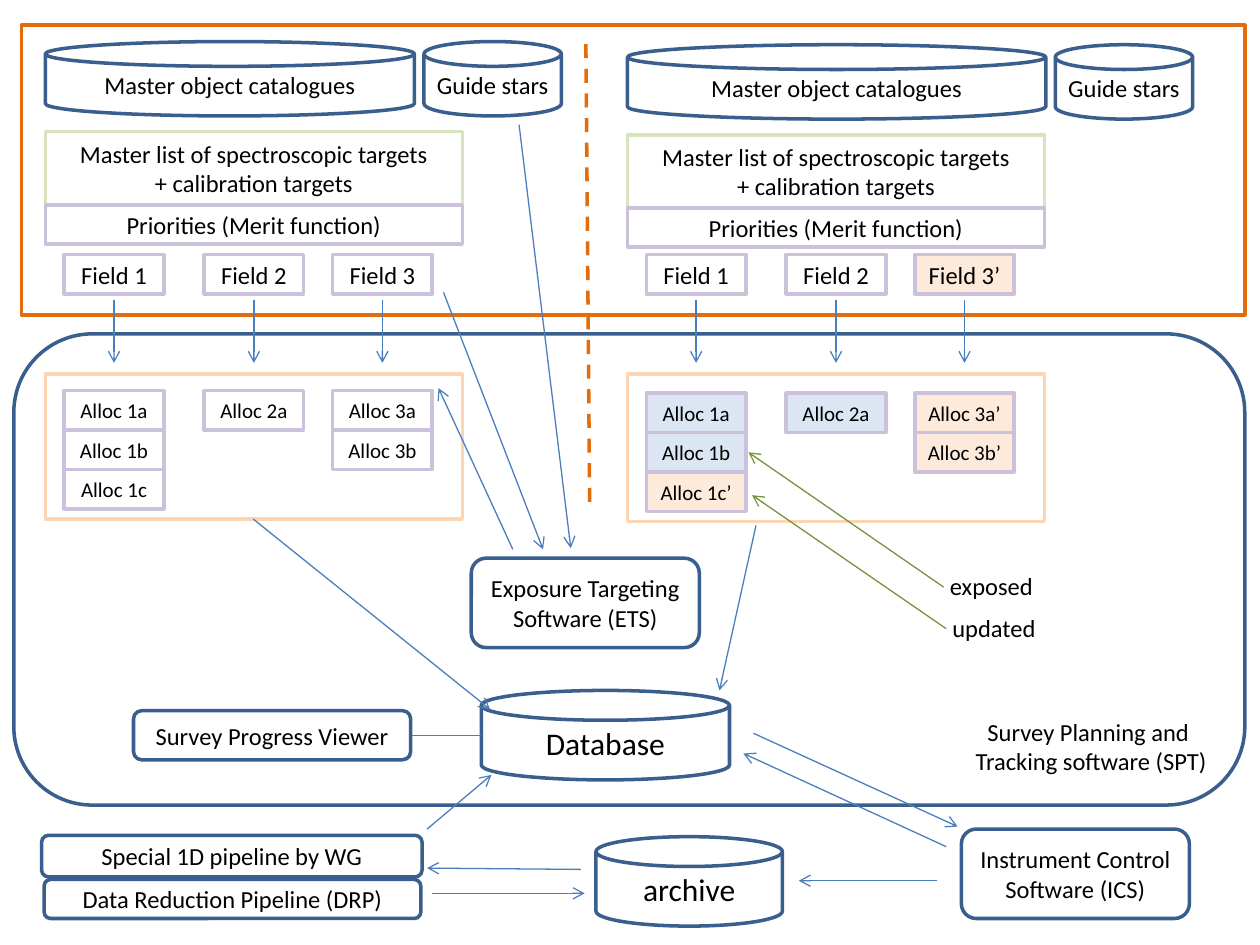
from lxml import etree
from pptx import Presentation
from pptx.dml.color import RGBColor
from pptx.enum.dml import MSO_LINE
from pptx.enum.shapes import MSO_CONNECTOR, MSO_SHAPE
from pptx.enum.text import MSO_ANCHOR, MSO_AUTO_SIZE, PP_ALIGN
from pptx.oxml.ns import qn
from pptx.util import Inches, Pt

RECT, ROUND = MSO_SHAPE.RECTANGLE, MSO_SHAPE.ROUNDED_RECTANGLE
DISK = MSO_SHAPE.FLOWCHART_MAGNETIC_DISK
STRAIGHT, DASH = MSO_CONNECTOR.STRAIGHT, MSO_LINE.DASH
MIDDLE, CENTER, LEFT = MSO_ANCHOR.MIDDLE, PP_ALIGN.CENTER, PP_ALIGN.LEFT
FIT = MSO_AUTO_SIZE.SHAPE_TO_FIT_TEXT
NAVY, BLUE, ORANGE, OLIVE = "3A5F8C", "4B7EBC", "E46C0A", "77933C"
LIME, LILAC, PEACH = "D7E4BD", "CCC1DA", "FCD5B5"
DONE, CHANGED = "DCE6F2", "FDEADA"
FONT = "Calibri"
COLS, ROWS = 100, 75
CELL_W, CELL_H = 7.9, 3.13
FIELD_COLS = (1.5, 12.6, 22.8)
PANEL_W = 33.1
FIELD_TOP, ARROW_TOP, ARROW_END, FRAME_TOP = 20.2, 23.8, 28.8, 29.7

prs = Presentation()
prs.slide_width, prs.slide_height = Inches(10), Inches(7.5)
s = prs.slides.add_slide(prs.slide_layouts[6])


def rgb(value):
    """Turn a hex string into a colour."""
    return RGBColor.from_string(value)


def grid(x, y):
    """Turn a column and a row into slide lengths."""
    return int(x * prs.slide_width / COLS), int(y * prs.slide_height / ROWS)


def write(tf, text, size, align):
    """Fill a text frame and format its runs."""
    tf.text = text
    for p in tf.paragraphs:
        p.alignment = align
        for r in p.runs:
            r.font.name, r.font.size = FONT, Pt(size)
            r.font.color.rgb = rgb("000000")


def box(kind, x, y, w, h, line=NAVY, text="", size=14, fill=None):
    """Draw an outlined shape with centred text."""
    sp = s.shapes.add_shape(kind, *grid(x, y), *grid(w, h))
    sp.shadow.inherit = False
    if fill:
        sp.fill.solid()
        sp.fill.fore_color.rgb = rgb(fill)
    else:
        sp.fill.background()
    sp.line.color.rgb, sp.line.width = rgb(line), Pt(2)
    if text:
        sp.text_frame.vertical_anchor = MIDDLE
        write(sp.text_frame, text, size, CENTER)


def label(x, y, w, h, text, align=LEFT):
    """Place free text that does not wrap."""
    sp = s.shapes.add_textbox(*grid(x, y), *grid(w, h))
    tf = sp.text_frame
    write(tf, text, 14, align)
    tf.word_wrap, tf.auto_size = False, FIT


def link(x1, y1, x2, y2, color=BLUE, arrow=True, width=0.75, dash=None):
    """Draw a line, with an open arrowhead at its end if wanted."""
    c = s.shapes.add_connector(STRAIGHT, *grid(x1, y1), *grid(x2, y2))
    c.line.color.rgb, c.line.width = rgb(color), Pt(width)
    if dash:
        c.line.dash_style = dash
    if arrow:
        etree.SubElement(c.line._get_or_add_ln(), qn("a:tailEnd"), type="arrow")
    etree.SubElement(c._element.spPr, qn("a:effectLst"))


def sources(x, y, catalogue_w):
    """Stack the catalogues, target list and priorities of one side."""
    box(DISK, x, y, catalogue_w, 5.9, text="Master object catalogues")
    box(DISK, x + catalogue_w + 0.75, y, 10.9, 5.9, text="Guide stars")
    box(RECT, x, y + 7.15, PANEL_W, 5.8, LIME,
        "Master list of spectroscopic targets\v+ calibration targets")
    box(RECT, x, y + 12.95, PANEL_W, 3.1, LILAC, "Priorities (Merit function)")


def allocations(x, y, frame_h, fields):
    """Lay out each field, its arrow and its allocations in columns."""
    for dx, (name, fill, allocs) in zip(FIELD_COLS, fields):
        left, mid = x + dx, x + dx + CELL_W / 2
        box(RECT, left, FIELD_TOP, CELL_W, CELL_H, LILAC, name, fill=fill)
        link(mid, ARROW_TOP, mid, ARROW_END)
        for i, (alloc, shade) in enumerate(allocs):
            box(RECT, left, y + i * CELL_H, CELL_W, CELL_H, LILAC,
                "Alloc " + alloc, 12, shade)
    box(RECT, x, FRAME_TOP, PANEL_W, frame_h, PEACH)


def planning():
    """Place the parts inside the planning and tracking region."""
    box(ROUND, 1.1, 26.5, 97.7, 37.4)
    box(ROUND, 37.4, 44.3, 18.1, 7.1, text="Exposure Targeting Software (ETS)")
    box(DISK, 38.2, 54.8, 19.7, 7.1, text="Database", size=18)
    box(ROUND, 10.6, 56.4, 22, 3.9, text="Survey Progress Viewer")
    link(38.2, 58.4, 32.7, 58.4, arrow=False)
    label(76.3, 56.4, 20.6, 5.7,
          "Survey Planning and \nTracking software (SPT)", CENTER)
    label(74.4, 44.8, 8.7, 3.4, "exposed")
    label(74.6, 48.2, 8.7, 3.4, "updated")


def pipelines():
    """Place the pipelines, archive and instrument along the bottom."""
    box(ROUND, 3.3, 66.3, 30.2, 3.3, text="Special 1D pipeline by WG")
    box(ROUND, 3.5, 69.8, 29.9, 3.1, text="Data Reduction Pipeline (DRP)")
    box(DISK, 47.3, 66.4, 14.8, 7.1, text="archive", size=18)
    box(ROUND, 76.3, 65.8, 18.1, 7.1, text="Instrument Control Software (ICS)")


box(RECT, 1.7, 2, 97.1, 23, ORANGE)
planning()
pipelines()
sources(3.6, 3.3, 29.3)
sources(49.8, 3.55, 33.2)
allocations(3.6, 31, 11.5, [
    ("Field 1", None, [("1a", None), ("1b", None), ("1c", None)]),
    ("Field 2", None, [("2a", None)]),
    ("Field 3", None, [("3a", None), ("3b", None)])])
allocations(49.8, 31.2, 11.7, [
    ("Field 1", None, [("1a", DONE), ("1b", DONE), ("1c’", CHANGED)]),
    ("Field 2", None, [("2a", DONE)]),
    ("Field 3’", CHANGED, [("3a’", CHANGED), ("3b’", CHANGED)])])
link(46.5, 3.5, 46.8, 40.1, ORANGE, False, 2, DASH)
for ends in [(75.1, 67.2, 59, 59.8), (59.8, 58.2, 76, 65.6),
             (46.1, 69, 33.9, 68.9), (33.9, 65.8, 39, 61.5),
             (74.4, 69.9, 63.4, 69.9), (34.3, 70.9, 46.4, 70.9),
             (35.2, 23.2, 43.1, 43.6), (41.2, 9.9, 45.3, 43.5),
             (40.7, 43.6, 34.8, 30.8), (20.1, 41.2, 38.9, 56.3),
             (60, 41.7, 57.1, 54.8)]:
    link(*ends)
link(75.1, 49.9, 59.7, 39.3, OLIVE)
link(74.9, 46.6, 59.4, 35.9, OLIVE)

prs.save("out.pptx")
